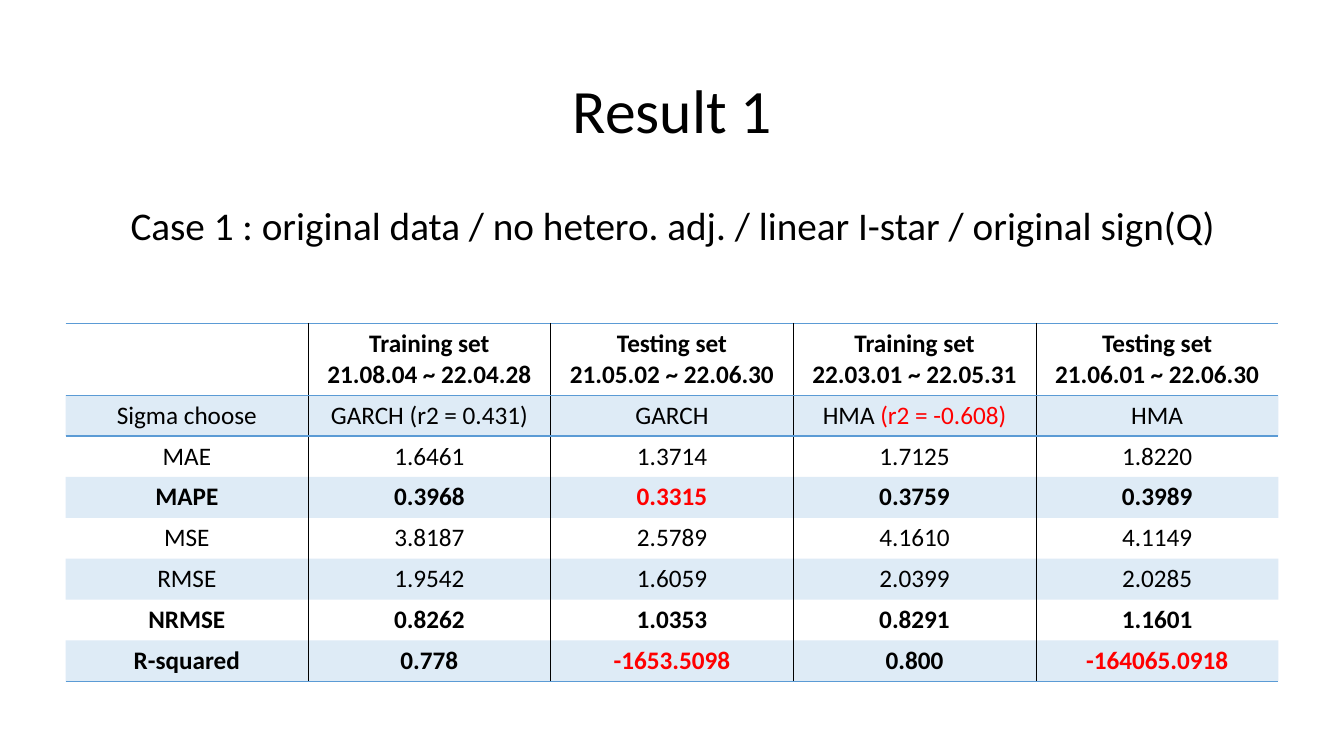
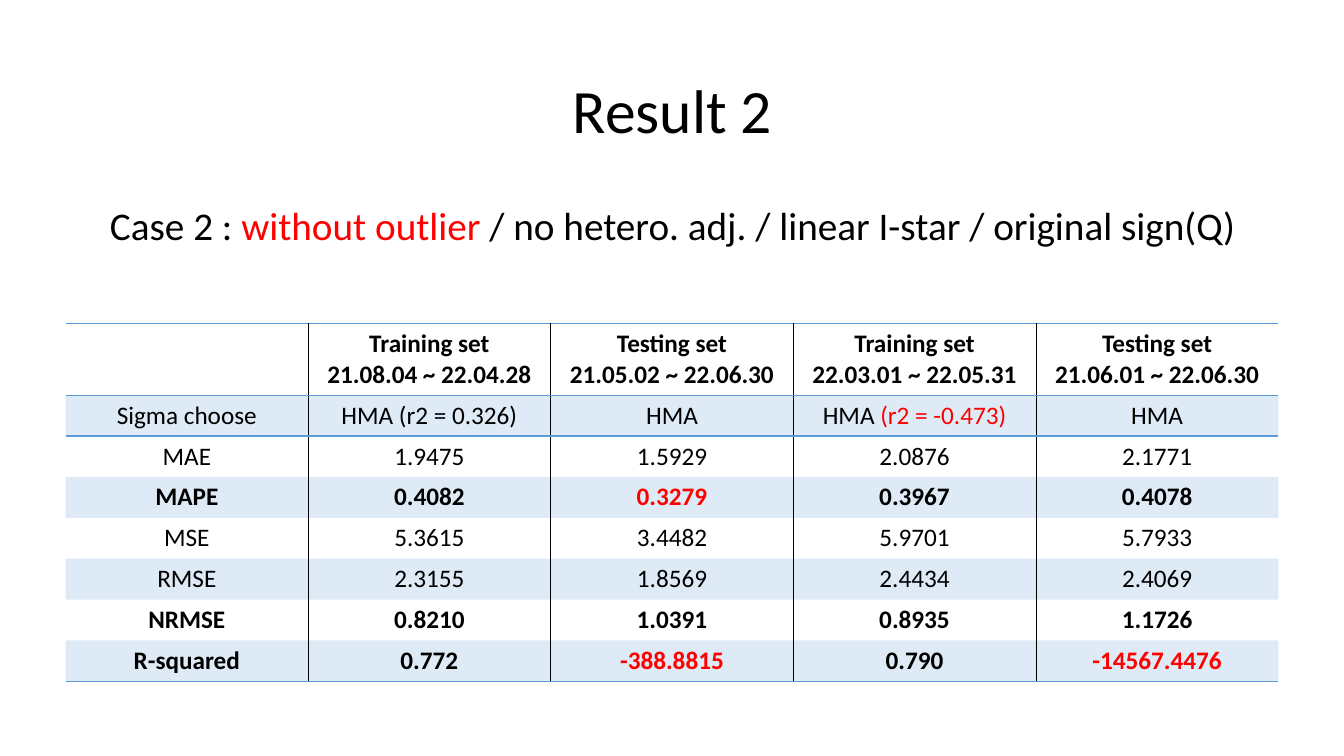
"""Build two result slides, each with a case line and a table of metrics."""
from lxml.etree import SubElement
from pptx import Presentation
from pptx.dml.color import RGBColor
from pptx.enum.text import MSO_ANCHOR, PP_ALIGN
from pptx.oxml.ns import qn
from pptx.util import Inches, Pt

HEADERS = [
    "",
    "Training set\n21.08.04 ~ 22.04.28",
    "Testing set\n21.05.02 ~ 22.06.30",
    "Training set\n22.03.01 ~ 22.05.31",
    "Testing set\n21.06.01 ~ 22.06.30",
]
METRICS = ["Sigma choose", "MAE", "MAPE", "MSE", "RMSE", "NRMSE", "R-squared"]
BOLD_METRICS = {"MAPE", "NRMSE", "R-squared"}
RESULTS = [
    {
        "title": "Result 1",
        "case": "Case 1 : original data / no hetero. adj. / linear I-star / original sign(Q)",
        "values": [
            ["GARCH (r2 = 0.431)", "GARCH", "HMA |(r2 = -0.608)", "HMA"],
            ["1.6461", "1.3714", "1.7125", "1.8220"],
            ["0.3968", "|0.3315", "0.3759", "0.3989"],
            ["3.8187", "2.5789", "4.1610", "4.1149"],
            ["1.9542", "1.6059", "2.0399", "2.0285"],
            ["0.8262", "1.0353", "0.8291", "1.1601"],
            ["0.778", "|-1653.5098", "0.800", "|-164065.0918"],
        ],
    },
    {
        "title": "Result 2",
        "case": "Case 2 : |without outlier |/ no hetero. adj. / linear I-star / original sign(Q)",
        "values": [
            ["HMA (r2 = 0.326)", "HMA", "HMA |(r2 = -0.473)", "HMA"],
            ["1.9475", "1.5929", "2.0876", "2.1771"],
            ["0.4082", "|0.3279", "0.3967", "0.4078"],
            ["5.3615", "3.4482", "5.9701", "5.7933"],
            ["2.3155", "1.8569", "2.4434", "2.4069"],
            ["0.8210", "1.0391", "0.8935", "1.1726"],
            ["0.772", "|-388.8815", "0.790", "|-14567.4476"],
        ],
    },
]


def color(code):
    """Turn a hex string into a colour."""
    return RGBColor.from_string(code)


def write(frame, text, size=18, bold=False, spacing=None, bullet=True,
          font="Calibri", ink="000000", accent="FF0000"):
    """Write centred lines, with every second part between bars in the accent colour."""
    for index, line in enumerate(text.split("\n")):
        para = frame.paragraphs[0] if index == 0 else frame.add_paragraph()
        if not bullet:
            properties = para._p.get_or_add_pPr()
            properties.set("marL", "0")
            properties.set("indent", "0")
            SubElement(properties, qn("a:buNone"))
        para.alignment = PP_ALIGN.CENTER
        para.space_before = Pt(0)
        para.line_spacing = spacing
        para.font.size = Pt(size)
        for position, part in enumerate(line.split("|")):
            if part:
                span = para.add_run()
                span.text = part
                span.font.name = font
                span.font.size = Pt(size)
                span.font.bold = bold
                span.font.color.rgb = color(accent if position % 2 else ink)


class ResultDeck:
    """Hold the shared style and the current slide."""

    blue = "5B9BD5"
    black = "000000"
    plain_table = "{2D5ABB26-0587-4C30-8999-92F81FD0307C}"

    def __init__(self):
        """Start an empty widescreen deck."""
        self.deck = Presentation()
        self.deck.slide_width = Inches(13.33)
        self.deck.slide_height = Inches(7.5)
        self.page = None

    def add_page(self):
        """Start a slide with a title and a body."""
        self.page = self.deck.slides.add_slide(self.deck.slide_layouts[1])

    def fill_placeholder(self, index, top, height, anchor, text, **style):
        """Move a placeholder into the text column and write in it."""
        box = self.page.placeholders[index]
        box.left, box.top = Inches(0.92), Inches(top)
        box.width, box.height = Inches(11.5), Inches(height)
        box.text_frame.vertical_anchor = anchor
        write(box.text_frame, text, spacing=0.9, **style)

    def title(self, text):
        """Write the slide title."""
        self.fill_placeholder(0, 0.4, 1.45, MSO_ANCHOR.MIDDLE, text, size=44)

    def case(self, text):
        """Write the line that describes the case."""
        self.fill_placeholder(1, 2, 4.76, MSO_ANCHOR.TOP, text, size=28, bullet=False)

    def border(self, cell, side, code, width):
        """Draw one side of a cell."""
        line = SubElement(cell._tc.get_or_add_tcPr(), qn(f"a:ln{side}"), w=str(Pt(width)))
        SubElement(SubElement(line, qn("a:solidFill")), qn("a:srgbClr"), val=code)

    def borders(self, cell, row, column, last_row, last_column):
        """Draw column rules, and blue rules around the header and at the bottom."""
        if column > 0:
            self.border(cell, "L", self.black, 1 if column % 2 else 0.5)
        if column < last_column:
            self.border(cell, "R", self.black, 0.5 if column % 2 else 1)
        if row < 2:
            self.border(cell, "T", self.blue, 1)
        if row in (0, last_row):
            self.border(cell, "B", self.blue, 1)

    def shade(self, cell, banded):
        """Give a banded cell a light tint and leave the others clear."""
        if not banded:
            cell.fill.background()
            return
        cell.fill.solid()
        cell.fill.fore_color.rgb = color(self.blue)
        tint = cell._tc.tcPr.find(qn("a:solidFill")).find(qn("a:srgbClr"))
        SubElement(tint, qn("a:alpha"), val="20000")

    def table(self, rows):
        """Add the table of metrics, header row first."""
        width, height, header = Inches(12.03), Inches(3.54), Inches(0.71)
        last_row, last_column = len(rows) - 1, len(rows[0]) - 1
        table = self.page.shapes.add_table(
            len(rows), len(rows[0]), Inches(0.65), Inches(3.21), width, height).table
        table._tbl.tblPr.find(qn("a:tableStyleId")).text = self.plain_table
        table.horz_banding = False
        for column in table.columns:
            column.width = width // len(rows[0])
        for row, texts in enumerate(rows):
            table.rows[row].height = (height - header) // last_row if row else header
            bold = row == 0 or texts[0] in BOLD_METRICS
            for column, text in enumerate(texts):
                cell = table.cell(row, column)
                self.borders(cell, row, column, last_row, last_column)
                self.shade(cell, row % 2 == 1)
                write(cell.text_frame, text, bold=bold)


def main():
    """Build and save the deck."""
    results = ResultDeck()
    for result in RESULTS:
        results.add_page()
        results.title(result["title"])
        results.case(result["case"])
        rows = [[metric, *values] for metric, values in zip(METRICS, result["values"])]
        results.table([HEADERS, *rows])
    results.deck.save("out.pptx")


if __name__ == "__main__":
    main()
